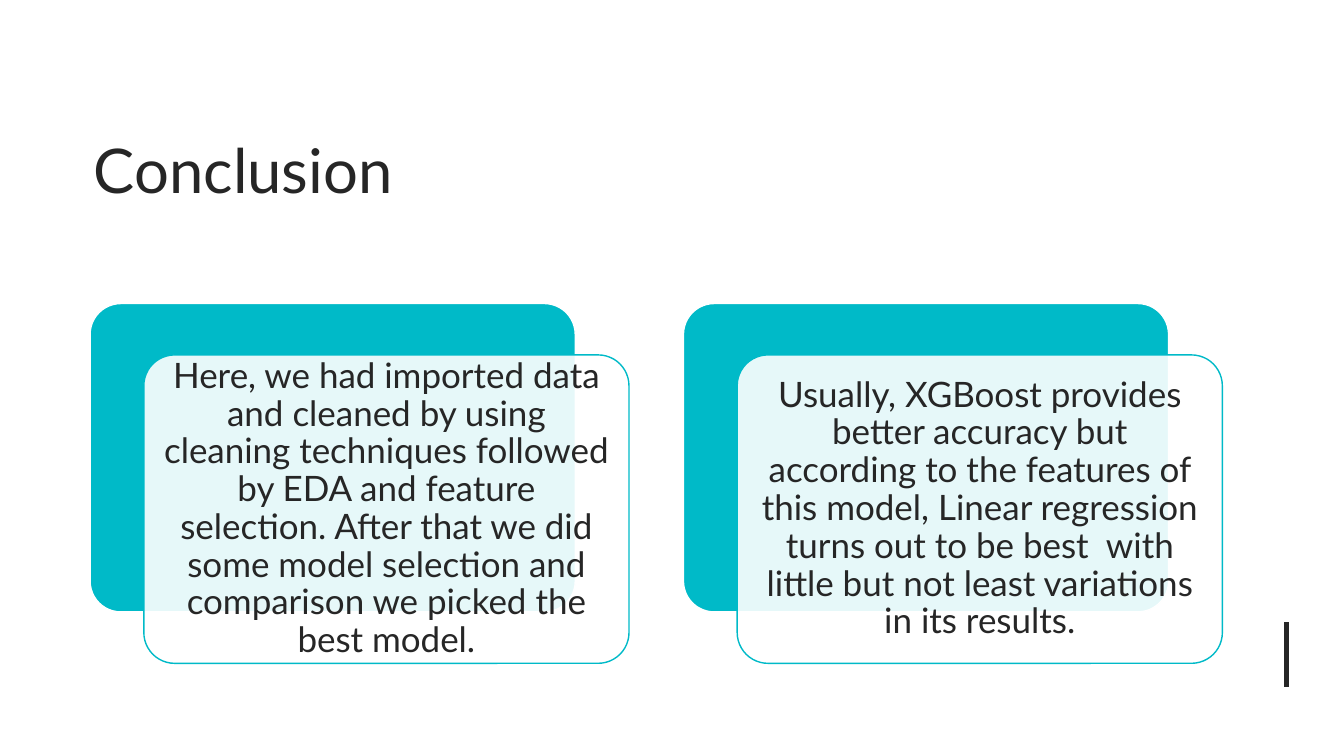
from dataclasses import dataclass

from lxml.etree import SubElement
from pptx import Presentation
from pptx.dml.color import RGBColor
from pptx.enum.shapes import MSO_CONNECTOR as Connector, MSO_SHAPE as Preset
from pptx.enum.text import MSO_ANCHOR as Anchor, PP_ALIGN as Align
from pptx.oxml.ns import qn
from pptx.shapes.autoshape import Shape
from pptx.text.text import TextFrame
from pptx.util import Inches, Pt

COLOURS = {"ink": "262626", "teal": "00BAC8", "white": "FFFFFF"}
FONT = "Lato"

# Grid: one hundred columns and one hundred rows over the slide
WIDTH, HEIGHT = Inches(13.33), Inches(7.5)
CARD_LEFT, CARD_TOP, CARD_PITCH = 6.7, 40.15, 44.15
CARD_WIDTH, CARD_HEIGHT = 36.1, 40.8
FRONT_SHIFT_X, FRONT_SHIFT_Y = 4.0, 6.8


@dataclass(frozen=True)
class Finding:
    column: int
    text: str


FINDINGS = [
    Finding(0, "Here, we had imported data and cleaned by using cleaning "
               "techniques followed by EDA and feature selection. After that we did "
               "some model selection and comparison we picked the best model."),
    Finding(1, "Usually, XGBoost provides better accuracy but according to the "
               "features of this model, Linear regression turns out to be best  with "
               "little but not least variations in its results."),
]


def colour(name: str) -> RGBColor:
    return RGBColor.from_string(COLOURS[name])


def col(columns: float) -> int:
    return round(WIDTH * columns / 100)


def row(rows: float) -> int:
    return round(HEIGHT * rows / 100)


def write(frame: TextFrame, text: str, *, size: float, align: Align,
          inset: float = 0.1, spacing: float = 0.9) -> None:
    frame.word_wrap = True
    frame.vertical_anchor = Anchor.MIDDLE
    frame.margin_left = frame.margin_right = Inches(inset)
    frame.margin_top = frame.margin_bottom = Inches(inset)
    paragraph = frame.paragraphs[0]
    paragraph.alignment = align
    paragraph.line_spacing = spacing
    run = paragraph.add_run()
    run.text = text
    run.font.name = FONT
    run.font.size = Pt(size)
    run.font.color.rgb = colour("ink")


def add_panel(shapes, left: float, top: float, fill: str, line: str) -> Shape:
    panel = shapes.add_shape(Preset.ROUNDED_RECTANGLE, col(left), row(top),
                             col(CARD_WIDTH), row(CARD_HEIGHT))
    panel.adjustments[0] = 0.1
    panel.shadow.inherit = False
    panel.fill.solid()
    panel.fill.fore_color.rgb = colour(fill)
    panel.line.color.rgb = colour(line)
    panel.line.width = Pt(1)
    return panel


def add_finding(shapes, finding: Finding) -> None:
    left = CARD_LEFT + finding.column * CARD_PITCH
    add_panel(shapes, left, CARD_TOP, "teal", "white")
    front = add_panel(shapes, left + FRONT_SHIFT_X, CARD_TOP + FRONT_SHIFT_Y,
                      "white", "teal")
    # Let the back panel show through faintly
    fill_colour = front.fill._xPr.find(qn("a:solidFill"))[0]
    SubElement(fill_colour, qn("a:alpha"), val="90000")
    write(front.text_frame, finding.text, size=25, align=Align.CENTER)


def main() -> None:
    deck = Presentation()
    deck.slide_width, deck.slide_height = WIDTH, HEIGHT
    slide = deck.slides.add_slide(deck.slide_layouts[5])
    slide.background.fill.solid()
    slide.background.fill.fore_color.rgb = colour("white")

    # Title
    title = slide.shapes.title
    title.left, title.top = col(6.23), row(12.5)
    title.width, title.height = col(78.7), row(20.9)
    write(title.text_frame, "Conclusion", size=44, align=Align.LEFT)

    # Accent line at the lower right
    accent = slide.shapes.add_connector(Connector.STRAIGHT, col(95.72), row(82.3),
                                        col(95.72), row(90.9))
    accent.line.color.rgb = colour("ink")
    accent.line.width = Pt(3)
    SubElement(accent._element.spPr, qn("a:effectLst"))

    # Findings
    for finding in FINDINGS:
        add_finding(slide.shapes, finding)

    deck.save("out.pptx")


if __name__ == "__main__":
    main()
